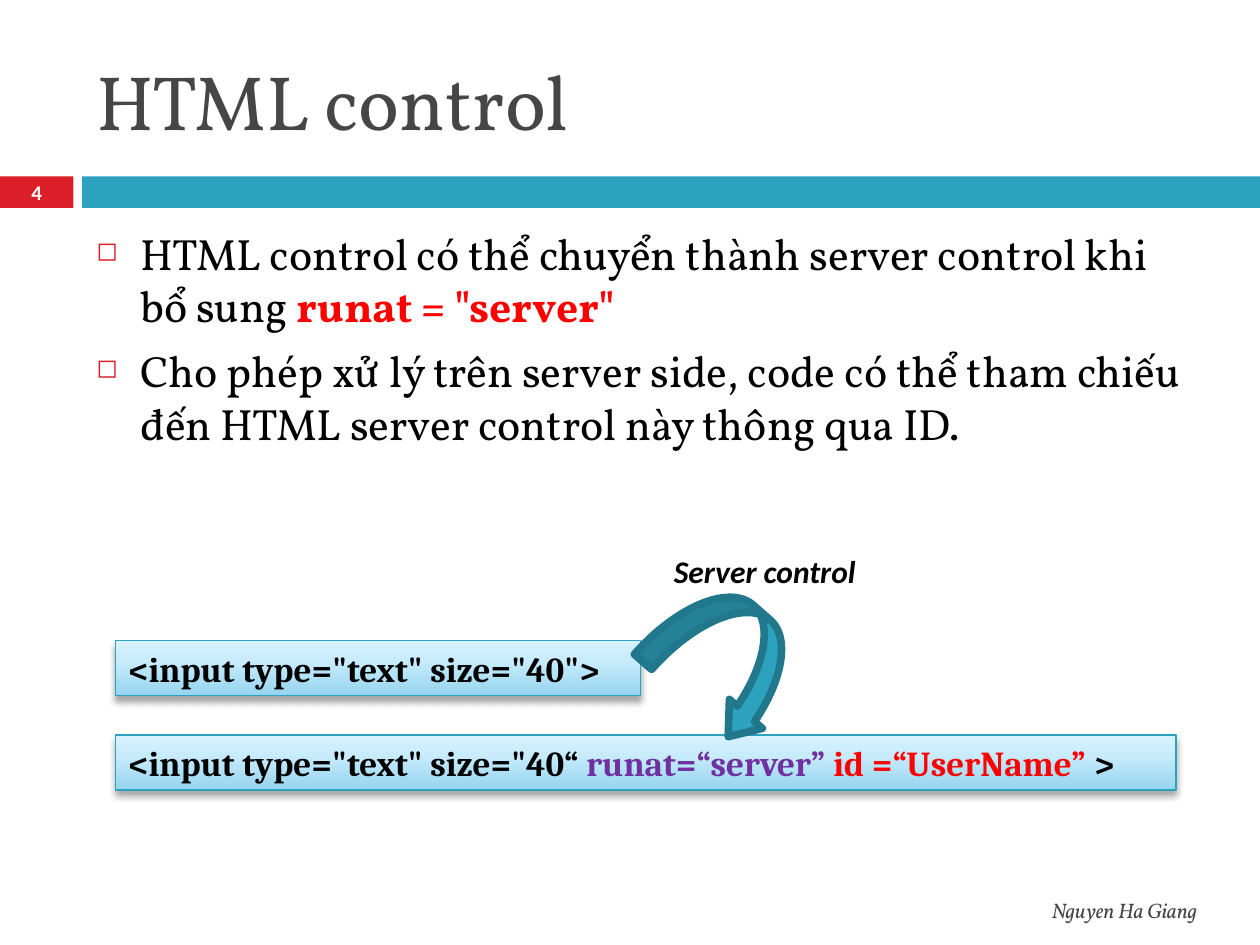
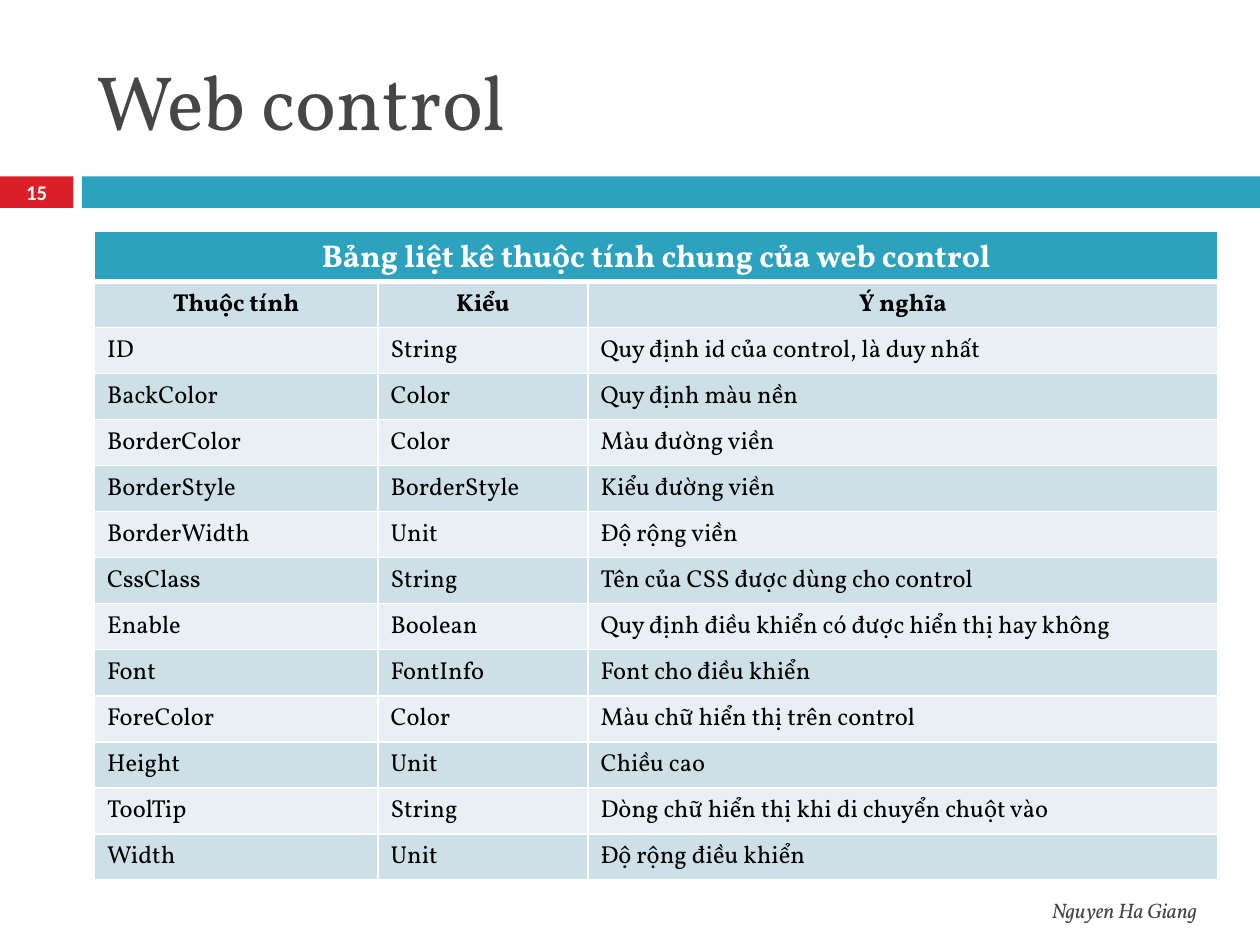
from dataclasses import dataclass
from typing import NamedTuple

from pptx import Presentation
from pptx.dml.color import RGBColor
from pptx.enum.shapes import MSO_SHAPE
from pptx.enum.text import MSO_ANCHOR, PP_ALIGN
from pptx.oxml import parse_xml
from pptx.oxml.ns import nsdecls
from pptx.util import Emu, Inches, Pt


@dataclass(frozen=True)
class Theme:
    body_font: str = "Vollkorn"
    label_font: str = "Calibri"
    code_font: str = "Cambria"
    ink: str = "000000"
    grey: str = "464646"
    white: str = "FFFFFF"
    teal: str = "2DA2BF"
    dark_teal: str = "21788D"
    crimson: str = "DA1F28"
    red: str = "FF0000"
    purple: str = "7030A0"
    stripes: tuple[str, str] = ("E8F0F4", "CDE0E8")
    code_gradient: tuple = ((0, "96D4EE"), (65, "C9ECFC"), (100, "D7F2FF"))
    title_size: float = 44
    body_size: float = 25
    code_size: float = 20
    label_size: float = 18
    cell_size: float = 14
    footer_size: float = 12
    number_size: float = 11.9


class Box(NamedTuple):
    col: float
    row: float
    cols: float
    rows: float


class Run(NamedTuple):
    text: str
    color: str = "000000"
    bold: bool = False


T = Theme()
WIDTH, HEIGHT = Inches(10), Inches(7.5)
COLUMNS, ROWS = 120, 90

TITLE = Box(8, 3, 107, 13)
BODY = Box(8, 21, 107, 59)
NUMBER_BAND = Box(0, 16.8, 7, 3)
TITLE_BAND = Box(7.8, 16.8, 112.2, 3)
FOOTER = Box(44, 84.25, 71.2, 4.8)
TABLE = Box(9, 22, 107, 61.4)
TABLE_COLUMNS = (27, 20, 60)
HTML_CODE = Box(11, 61, 50, 5.25)
SERVER_CODE = Box(11, 70, 101, 5.25)
ARROW = Box(63.8, 55.8, 11, 14)
ARROW_LABEL = Box(63, 52, 21.4, 4.8)

AUTHOR = "Nguyen Ha Giang"
BULLETS = (
    (Run("HTML control có thể chuyển thành server control khi bổ sung "),
     Run('runat = "server"', T.red, True)),
    (Run("Cho phép xử lý trên server side, code có thể tham chiếu "
         "đến HTML server control này thông qua ID."),),
)
CODE_LINES = (
    (HTML_CODE, (Run('<input type="text" size="40">', T.ink, True),)),
    (SERVER_CODE, (Run('<input type="text" size="40“ ', T.ink, True),
                   Run("runat=“server” ", T.purple, True),
                   Run("id =“UserName” ", T.red, True),
                   Run(">", T.ink, True))),
)
TABLE_TITLE = "Bảng liệt kê thuộc tính chung của web control"
TABLE_HEADINGS = ("Thuộc tính", "Kiểu", "Ý nghĩa")
PROPERTIES = (
    ("ID", "String", "Quy định id của control, là duy nhất"),
    ("BackColor", "Color", "Quy định màu nền"),
    ("BorderColor", "Color", "Màu đường viền"),
    ("BorderStyle", "BorderStyle", "Kiểu đường viền"),
    ("BorderWidth", "Unit", "Độ rộng viền"),
    ("CssClass", "String", "Tên của CSS được dùng cho control"),
    ("Enable", "Boolean", "Quy định điều khiển có được hiển thị hay không"),
    ("Font", "FontInfo", "Font cho điều khiển"),
    ("ForeColor", "Color", "Màu chữ hiển thị trên control"),
    ("Height", "Unit", "Chiều cao"),
    ("ToolTip", "String", "Dòng chữ hiển thị khi di chuyển chuột vào"),
    ("Width", "Unit", "Độ rộng điều khiển"),
)


def across(columns: float) -> Emu:
    return Emu(round(WIDTH * columns / COLUMNS))


def down(rows: float) -> Emu:
    return Emu(round(HEIGHT * rows / ROWS))


def place(box: Box) -> tuple[Emu, Emu, Emu, Emu]:
    return across(box.col), down(box.row), across(box.cols), down(box.rows)


def rgb(color: str) -> RGBColor:
    return RGBColor.from_string(color)


def write(p, text: str, *, size: float, font: str = T.body_font, color: str = T.ink,
          bold: bool = False, italic: bool = False, align=PP_ALIGN.LEFT) -> None:
    p.alignment = align
    r = p.add_run()
    r.text = text
    r.font.name, r.font.size = font, Pt(size)
    r.font.bold, r.font.italic = bold, italic
    r.font.color.rgb = rgb(color)


def add_text(s, box: Box, text: str = "", anchor=MSO_ANCHOR.MIDDLE, wrap: bool = True, **fmt):
    tf = s.shapes.add_textbox(*place(box)).text_frame
    tf.word_wrap, tf.vertical_anchor = wrap, anchor
    if text:
        write(tf.paragraphs[0], text, **fmt)
    return tf


def add_block(s, box: Box, fill: str | None = None, line: str | None = None,
              line_width: float = 0.75, preset=MSO_SHAPE.RECTANGLE):
    sp = s.shapes.add_shape(preset, *place(box))
    sp.shadow.inherit = False
    if fill:
        sp.fill.solid()
        sp.fill.fore_color.rgb = rgb(fill)
    if line:
        sp.line.color.rgb = rgb(line)
        sp.line.width = Pt(line_width)
    else:
        sp.line.fill.background()
    return sp


def add_frame(prs, title: str, number: int):
    s = prs.slides.add_slide(prs.slide_layouts[6])
    add_block(s, NUMBER_BAND, T.crimson)
    add_block(s, TITLE_BAND, T.teal)
    add_text(s, TITLE, title, size=T.title_size, color=T.grey)
    add_text(s, NUMBER_BAND, str(number), size=T.number_size, font=T.label_font,
             color=T.white, bold=True, align=PP_ALIGN.CENTER)
    add_text(s, FOOTER, AUTHOR, size=T.footer_size, color=T.grey, italic=True,
             align=PP_ALIGN.RIGHT)
    return s


def add_bullets(s, box: Box, bullets: tuple) -> None:
    tf = add_text(s, box, anchor=MSO_ANCHOR.TOP)
    for i, runs in enumerate(bullets):
        p = tf.add_paragraph() if i else tf.paragraphs[0]
        for run in runs:
            write(p, run.text, size=T.body_size, color=run.color, bold=run.bold)
        p.space_before = Pt(7)
        pPr = p._p.get_or_add_pPr()
        pPr.set("marL", str(Inches(0.35)))
        pPr.set("indent", str(-Inches(0.35)))
        for tag in (f'buClr {nsdecls("a")}><a:srgbClr val="{T.crimson}"/></a:buClr',
                    f'buSzPct {nsdecls("a")} val="60000"/',
                    f'buChar {nsdecls("a")} char="◻"/'):
            pPr.append(parse_xml(f"<a:{tag}>"))


def add_code(s, box: Box, runs: tuple[Run, ...]) -> None:
    sp = add_block(s, box, line=T.teal)
    stops = "".join(f'<a:gs pos="{pos * 1000}"><a:srgbClr val="{color}"/></a:gs>'
                    for pos, color in T.code_gradient)
    spPr = sp._element.spPr
    spPr.prstGeom.addnext(parse_xml(
        f'<a:gradFill {nsdecls("a")}><a:gsLst>{stops}</a:gsLst>'
        '<a:lin ang="16200000" scaled="0"/></a:gradFill>'))
    spPr.find("{*}effectLst").append(parse_xml(
        f'<a:outerShdw {nsdecls("a")} blurRad="{Pt(4)}" dist="{Pt(3)}" dir="5400000" '
        f'rotWithShape="0"><a:srgbClr val="{T.ink}"><a:alpha val="35000"/>'
        '</a:srgbClr></a:outerShdw>'))
    tf = sp.text_frame
    tf.word_wrap, tf.vertical_anchor = True, MSO_ANCHOR.MIDDLE
    for run in runs:
        write(tf.paragraphs[0], run.text, size=T.code_size, font=T.code_font,
              color=run.color, bold=run.bold)


def style_cell(cell, fill: str, top: float = 1, bottom: float = 1) -> None:
    tcPr = cell._tc.get_or_add_tcPr()
    for side, width in zip("LRTB", (1, 1, top, bottom)):
        tcPr.append(parse_xml(
            f'<a:ln{side} {nsdecls("a")} w="{Pt(width)}"><a:solidFill>'
            f'<a:srgbClr val="{T.white}"/></a:solidFill></a:ln{side}>'))
    cell.fill.solid()
    cell.fill.fore_color.rgb = rgb(fill)


def add_property_table(s, box: Box) -> None:
    rows = (TABLE_HEADINGS, *PROPERTIES)
    count = len(rows) + 1
    table = s.shapes.add_table(count, len(TABLE_COLUMNS), *place(box)).table
    table.first_row = table.horz_banding = False
    for column, width in zip(table.columns, TABLE_COLUMNS):
        column.width = across(width)
    for row in table.rows:
        row.height = down(box.rows / count)

    for cell in table.rows[0].cells:
        style_cell(cell, T.teal, bottom=3)
    banner = table.cell(0, 0)
    banner.merge(table.cell(0, len(TABLE_COLUMNS) - 1))
    write(banner.text_frame.paragraphs[0], TABLE_TITLE, size=T.label_size,
          color=T.white, bold=True, align=PP_ALIGN.CENTER)

    for i, values in enumerate(rows, start=1):
        heading = i == 1
        for j, value in enumerate(values):
            cell = table.cell(i, j)
            style_cell(cell, T.stripes[i % 2], top=3 if heading else 1)
            write(cell.text_frame.paragraphs[0], value, size=T.cell_size, bold=heading,
                  align=PP_ALIGN.CENTER if heading else PP_ALIGN.LEFT)


def build_html_control(prs) -> None:
    s = add_frame(prs, "HTML control", 4)
    add_bullets(s, BODY, BULLETS)
    for box, runs in CODE_LINES:
        add_code(s, box, runs)
    arrow = add_block(s, ARROW, T.teal, T.dark_teal, 4.33, MSO_SHAPE.CURVED_LEFT_ARROW)
    arrow.rotation = 311.3
    for i, value in enumerate((0.2, 0.38, 0.25)):
        arrow.adjustments[i] = value
    add_text(s, ARROW_LABEL, "Server control", anchor=MSO_ANCHOR.TOP, wrap=False,
             size=T.label_size, font=T.label_font, bold=True, italic=True)


def build_web_control(prs) -> None:
    s = add_frame(prs, "Web control", 15)
    add_property_table(s, TABLE)


def main() -> None:
    prs = Presentation()
    prs.slide_width, prs.slide_height = WIDTH, HEIGHT
    build_html_control(prs)
    build_web_control(prs)
    prs.save("out.pptx")


if __name__ == "__main__":
    main()
